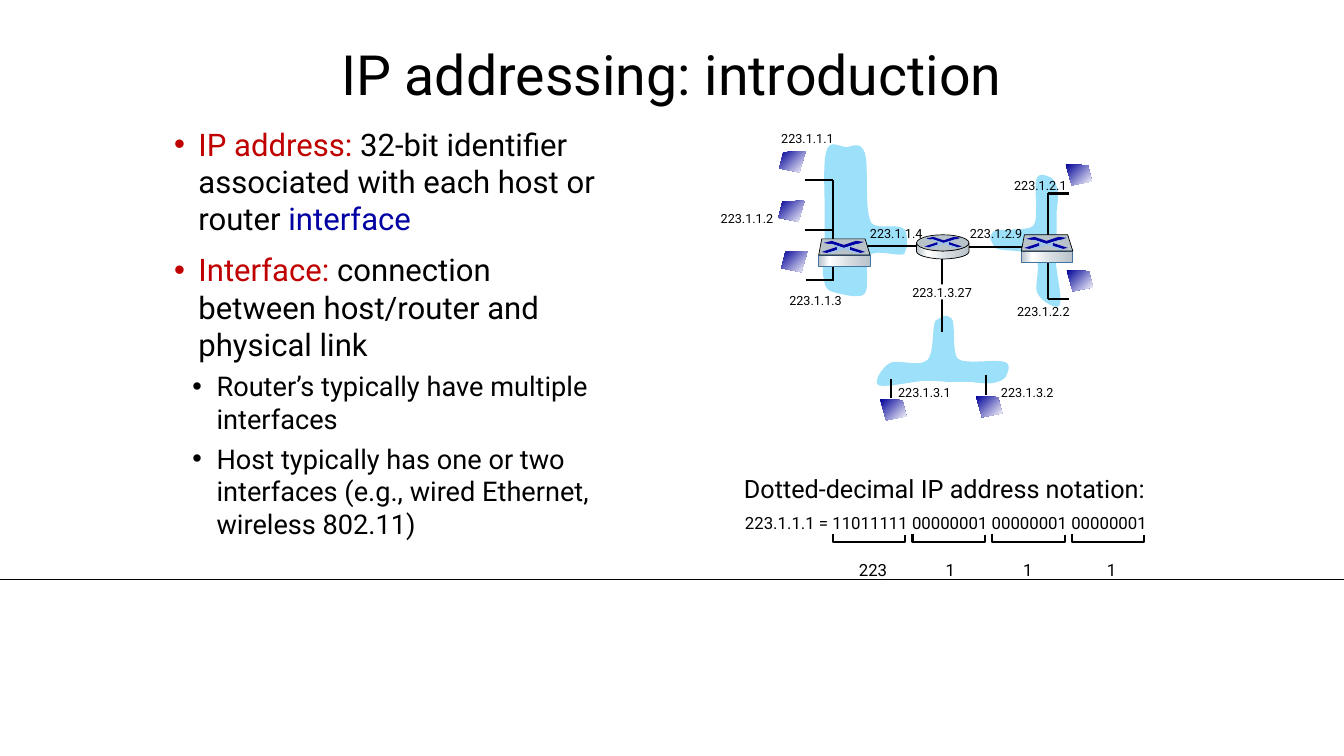
from dataclasses import dataclass

from lxml import etree
from pptx import Presentation
from pptx import util as u
from pptx.dml.color import RGBColor
from pptx.enum import shapes, text
from pptx.oxml.ns import qn


@dataclass(frozen=True)
class Theme:
    font: str = "Roboto"
    ink: str = "000000"
    paper: str = "FFFFFF"
    cloud: str = "9CE0FA"
    term: str = "C00000"
    accent: str = "0000A3"
    metal: str = "B8C2C9"
    edge: str = "43739E"
    glyph: str = "9DC3E6"
    host: tuple = ((0, "000099"), (100, "FFFFFF"))
    sheen: tuple = ((0, "B8C2C9"), (21, "FFFFFF"), (60, "D6DCE0"), (100, "B8C2C9"))
    title: float = 39.6
    body: float = 22.2
    detail: float = 19.4
    caption: float = 18
    binary: float = 12
    label: float = 9
    wire: float = 1.5
    hairline: float = 0.5


THEME = Theme()

# Outlines in inches: a start point, then cubic curves (two controls and an end)
LAN_CLOUD = [
    (.84, .93), (.83, .79), (.56, .91), (.49, .82), (.42, .69), (.47, .26), (.43, .13),
    (.38, 0), (.30, .07), (.24, .07), (.17, .06), (.08, 0), (.05, .10), (.01, .20),
    (.03, .53), (.03, .67), (.03, .81), (.03, .84), (.03, .92), (.03, 1), (.02, 1.08),
    (.02, 1.15), (.02, 1.23), (0, 1.31), (.02, 1.37), (.03, 1.42), (.03, 1.47), (.09, 1.50),
    (.16, 1.52), (.36, 1.58), (.42, 1.53), (.49, 1.47), (.41, 1.21), (.48, 1.14),
    (.55, 1.08), (.76, 1.16), (.82, 1.13), (.84, 1.06), (.86, 1.07), (.84, .93)]
SIDE_CLOUD = [
    (.05, .72), (.11, .76), (.37, .73), (.44, .80), (.52, .88), (.43, 1.09), (.47, 1.17),
    (.51, 1.25), (.66, 1.34), (.69, 1.29), (.72, 1.23), (.66, .97), (.65, .85), (.65, .73),
    (.65, .68), (.66, .60), (.66, .52), (.66, .44), (.66, .36), (.67, .29), (.68, .21),
    (.67, .15), (.66, .10), (.64, .04), (.60, .02), (.57, .01), (.48, -.04), (.46, .04),
    (.43, .12), (.49, .43), (.43, .50), (.37, .56), (.08, .52), (.03, .56), (0, .62),
    (-.02, .60), (.05, .72)]
LOWER_CLOUD = [(1.31 - y, x) for x, y in SIDE_CLOUD]  # quarter turn
HOST = [(0, 0), (.22, .01), (.26, .17), (.06, .21)]
HOST_MIRRORED = [(.26 - x, y) for x, y in HOST]
ROUTER_SIDE = [
    (.52, .08), (.52, .11), (.52, .17), (.52, .17), (.51, .22), (.35, .24), (.26, .24),
    (.18, .24), (.02, .22), (0, .17), (0, .14), (0, .10), (0, .08),
    (.03, .13), (.17, .16), (.26, .16), (.35, .16), (.50, .14), (.52, .08)]
CROSSED_ARROWS = [
    (THEME.accent, [(.34, 0), (.42, .01), (.36, .03), (.35, .03), (.22, .07), (.10, .03),
                    (.07, .03), (.02, .02), (.10, 0), (.22, .04)]),
    (THEME.accent, [(.28, .06), (.43, .11), (.38, .12), (.28, .09)]),
    (THEME.accent, [(.15, .06), (.15, .09), (.05, .12), (0, .11)]),
    (THEME.glyph, [(.07, .03), (.10, .03), (.22, .07), (.35, .03), (.37, .03), (.28, .06),
                   (.28, .09), (.38, .12), (.35, .13), (.22, .08), (.08, .13), (.06, .12),
                   (.15, .09), (.15, .06)])]


def inch(value):
    return u.Cm(value * 2.54)


def rgb(code):
    return RGBColor.from_string(code)


def assign(target, values):
    for name, value in values.items():
        setattr(target, name, value)


def paint(shape, fill=None, line=None, width=THEME.hairline):
    shape.shadow.inherit = False
    if fill is None:
        shape.fill.background()
    elif isinstance(fill, str):
        shape.fill.solid()
        shape.fill.fore_color.rgb = rgb(fill)
    else:
        shape.fill.gradient()
        shape.fill.gradient_angle = 315 if fill is THEME.host else 0
        stops = shape.element.spPr.find(qn("a:gradFill")).find(qn("a:gsLst"))
        for stop in list(stops):
            stops.remove(stop)
        for position, code in fill:
            stop = etree.SubElement(stops, qn("a:gs"), pos=str(position * 1000))
            etree.SubElement(stop, qn("a:srgbClr"), val=code)
    if line:
        shape.line.color.rgb = rgb(line)
        shape.line.width = u.Pt(width)
    else:
        shape.line.fill.background()


def curve(points, steps=8):
    """Turn a start point and cubic curves into a fine polyline."""
    traced = [points[0]]
    for i in range(0, len(points) - 1, 3):
        a, b, c, d = points[i:i + 4]
        for t in (n / steps for n in range(1, steps + 1)):
            weights = ((1 - t) ** 3, 3 * t * (1 - t) ** 2, 3 * t * t * (1 - t), t ** 3)
            traced.append(tuple(sum(w * p[axis] for w, p in zip(weights, (a, b, c, d)))
                                for axis in (0, 1)))
    return traced


def outline(slide, x, y, points, scale=1, closed=True, **look):
    placed = [(inch(x + px * scale), inch(y + py * scale)) for px, py in points]
    builder = slide.shapes.build_freeform(*placed[0])
    builder.add_line_segments(placed[1:], close=closed)
    paint(builder.convert_to_shape(), **look)


def preset(slide, kind, x, y, w, h, **look):
    paint(slide.shapes.add_shape(kind, inch(x), inch(y), inch(w), inch(h)), **look)


def wire(slide, x1, y1, x2, y2, width=THEME.wire):
    link = slide.shapes.add_connector(shapes.MSO_CONNECTOR.STRAIGHT,
                                      inch(x1), inch(y1), inch(x2), inch(y2))
    link.line.color.rgb = rgb(THEME.ink)
    link.line.width = u.Pt(width)
    etree.SubElement(link.element.spPr, qn("a:effectLst"))


def write(paragraph, words, size, color=THEME.ink):
    run = paragraph.add_run()
    run.text = words
    assign(run.font, {"name": THEME.font, "size": u.Pt(size)})
    run.font.color.rgb = rgb(color)


def label(slide, x, y, w, h, words, size=THEME.label):
    frame = slide.shapes.add_textbox(inch(x), inch(y), inch(w), inch(h)).text_frame
    assign(frame, {"word_wrap": False, "auto_size": text.MSO_AUTO_SIZE.SHAPE_TO_FIT_TEXT})
    write(frame.paragraphs[0], words, size)


def add_title(slide, x, y, w, h):
    title = slide.shapes.title
    assign(title, {"left": inch(x), "top": inch(y), "width": inch(w), "height": inch(h)})
    title.text_frame.vertical_anchor = text.MSO_ANCHOR.MIDDLE
    heading = title.text_frame.paragraphs[0]
    assign(heading, {"alignment": text.PP_ALIGN.CENTER, "line_spacing": 0.9})
    write(heading, "IP addressing: introduction", THEME.title)


def add_definitions(slide, x, y, w, h):
    frame = slide.shapes.add_textbox(inch(x), inch(y), inch(w), inch(h)).text_frame
    frame.word_wrap = True
    points = [
        (0, [("IP address: ", THEME.term),
             ("32-bit identifier associated with each host or router ", THEME.ink),
             ("interface", THEME.accent)]),
        (0, [("Interface:", THEME.term),
             (" connection between host/router and physical link", THEME.ink)]),
        (1, [("Router’s typically have multiple interfaces", THEME.ink)]),
        (1, [("Host typically has one or two interfaces (e.g., wired Ethernet, "
              "wireless 802.11)", THEME.ink)])]
    for i, (level, parts) in enumerate(points):
        point = frame.paragraphs[0] if i == 0 else frame.add_paragraph()
        props = point._p.get_or_add_pPr()
        props.set("marL", str(inch(.43 if level else .25)))
        props.set("indent", str(inch(-.24)))
        etree.SubElement(props, qn("a:buFont"), typeface="Arial")
        etree.SubElement(props, qn("a:buChar"), char="•")
        assign(point, {"level": level, "space_before": u.Pt((5 if level else 10) if i else 0)})
        for words, color in parts:
            write(point, words, THEME.detail if level else THEME.body, color)


def add_switch(slide, x, y):
    preset(slide, shapes.MSO_SHAPE.RECTANGLE, x, y + .16, .51, .11,
           fill=THEME.sheen, line=THEME.edge)
    outline(slide, x, y, [(0, .16), (.03, 0), (.46, 0), (.51, .16)],
            fill=THEME.metal, line=THEME.ink)
    add_arrows(slide, x + .03, y + .02)


def add_router(slide, x, y):
    outline(slide, x, y, curve(ROUTER_SIDE), fill=THEME.sheen, line=THEME.ink)
    preset(slide, shapes.MSO_SHAPE.OVAL, x, y, .52, .16, fill=THEME.metal, line=THEME.ink)
    add_arrows(slide, x + .08, y + .02, .86)


def add_arrows(slide, x, y, scale=1):
    for color, points in CROSSED_ARROWS:
        outline(slide, x, y, points, scale, fill=color)


def add_network(slide, x, y):
    # Subnets
    for dx, dy, cloud in ((1.69, 2.13, LOWER_CLOUD), (2.82, .74, SIDE_CLOUD),
                          (1.15, .39, LAN_CLOUD)):
        outline(slide, x + dx, y + dy, curve(cloud), fill=THEME.cloud)
    # Links
    for x1, y1, x2, y2 in (
            (2.34, 1.57, 2.34, 2.29), (.98, .79, 1.26, .79), (.98, 1.28, 1.26, 1.28),
            (.99, 1.78, 1.27, 1.78), (3.39, .92, 3.60, .92), (3.39, 1.97, 3.60, 1.97),
            (1.84, 2.76, 1.84, 2.95), (2.78, 2.72, 2.78, 2.92), (1.53, 1.44, 2.18, 1.44),
            (2.50, 1.45, 3.30, 1.45), (1.26, .79, 1.26, 1.79), (3.39, .91, 3.39, 1.97)):
        wire(slide, x + x1, y + y1, x + x2, y + y2)
    # Interface addresses
    preset(slide, shapes.MSO_SHAPE.RECTANGLE, x + 2, y + 1.82, .7, .15, fill=THEME.paper)
    for dx, dy, address in (
            (.65, .25, "1.1"), (.05, 1.04, "1.2"), (.73, 1.86, "1.3"), (1.53, 1.19, "1.4"),
            (2.52, 1.19, "2.9"), (2.99, 1.97, "2.2"), (2.96, .72, "2.1"),
            (2.83, 2.77, "3.2"), (1.81, 2.77, "3.1"), (1.95, 1.78, "3.27")):
        label(slide, x + dx, y + dy, .73 if len(address) == 3 else .8, .25, "223.1." + address)
    # Hosts
    for dx, dy, host in (
            (.73, .50, HOST_MIRRORED), (.72, .99, HOST_MIRRORED), (.75, 1.49, HOST_MIRRORED),
            (3.57, .63, HOST), (3.58, 1.68, HOST), (2.68, 2.93, HOST), (1.73, 2.96, HOST)):
        outline(slide, x + dx, y + dy, host, fill=THEME.host)
    # Router and switches
    add_router(slide, x + 2.09, y + 1.33)
    add_switch(slide, x + 1.12, y + 1.37)
    add_switch(slide, x + 3.13, y + 1.33)


def add_notation(slide, x, y):
    label(slide, x, y, 4.25, .4, "Dotted-decimal IP address notation:", THEME.caption)
    label(slide, x + .01, y + .39, 4.21, .3,
          "223.1.1.1 = 11011111 00000001 00000001 00000001", THEME.binary)
    # Octet brackets and their decimal values
    octets = ((1.14, .48, "223"), (2, .29, "1"), (2.77, .29, "1"), (3.6, .29, "1"))
    for i, (dx, w, value) in enumerate(octets):
        outline(slide, x + .98 + .79 * i, y + .65, [(0, 0), (0, .08), (.72, .08), (.72, .01)],
                closed=False, line=THEME.ink, width=THEME.wire)
        label(slide, x + dx, y + .85, w, .3, value, THEME.binary)


def main():
    deck = Presentation()
    assign(deck, {"slide_width": inch(13.33), "slide_height": inch(7.5)})
    slide = deck.slides.add_slide(deck.slide_layouts[5])
    wire(slide, 0, 5.75, 13.33, 5.75, THEME.hairline)
    add_title(slide, 2.35, .4, 8.62, .73)
    add_network(slide, 7, 1)
    add_definitions(slide, 1.62, 1.19, 4.56, 4.32)
    add_notation(slide, 7.28, 4.65)
    deck.save("out.pptx")


if __name__ == "__main__":
    main()
